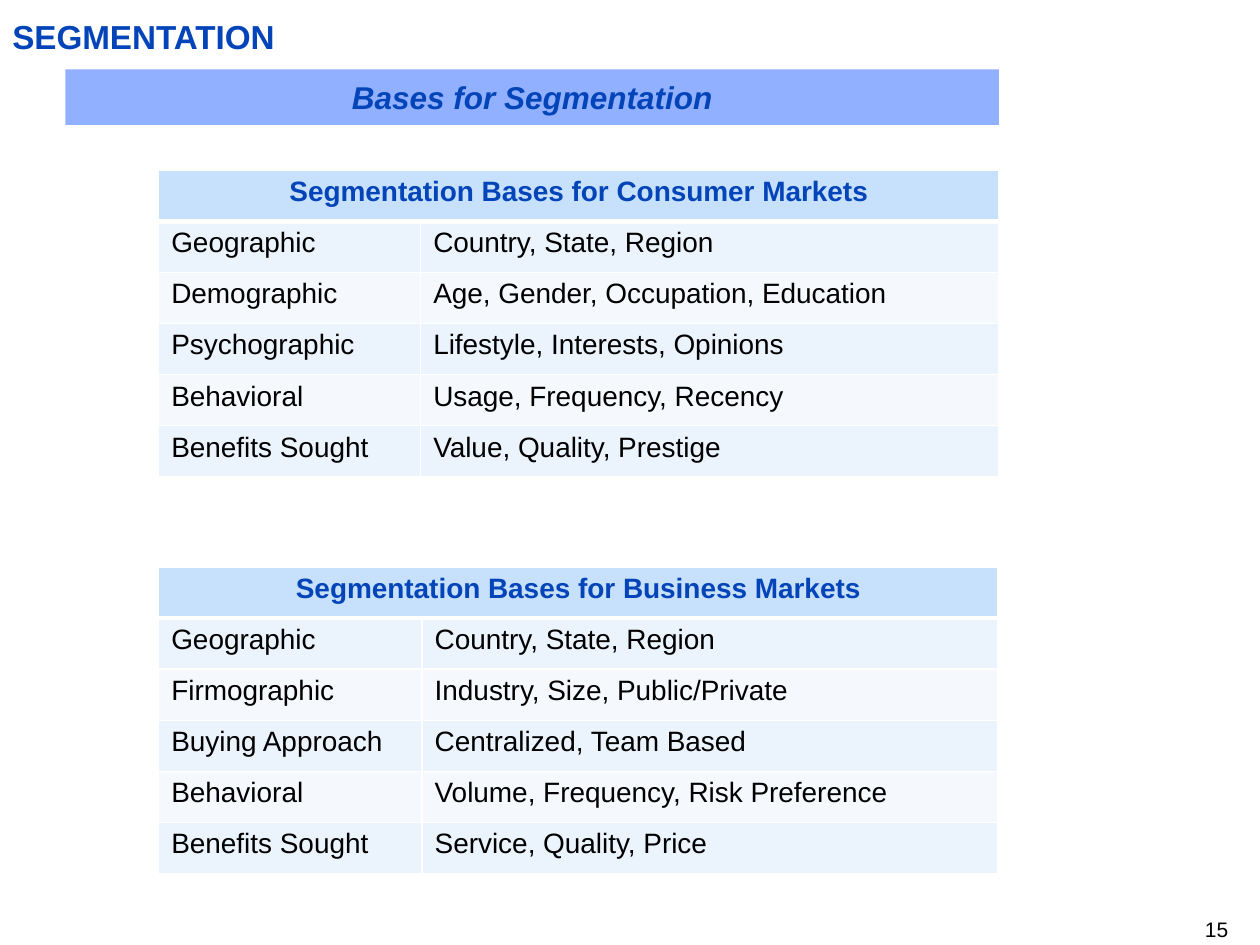
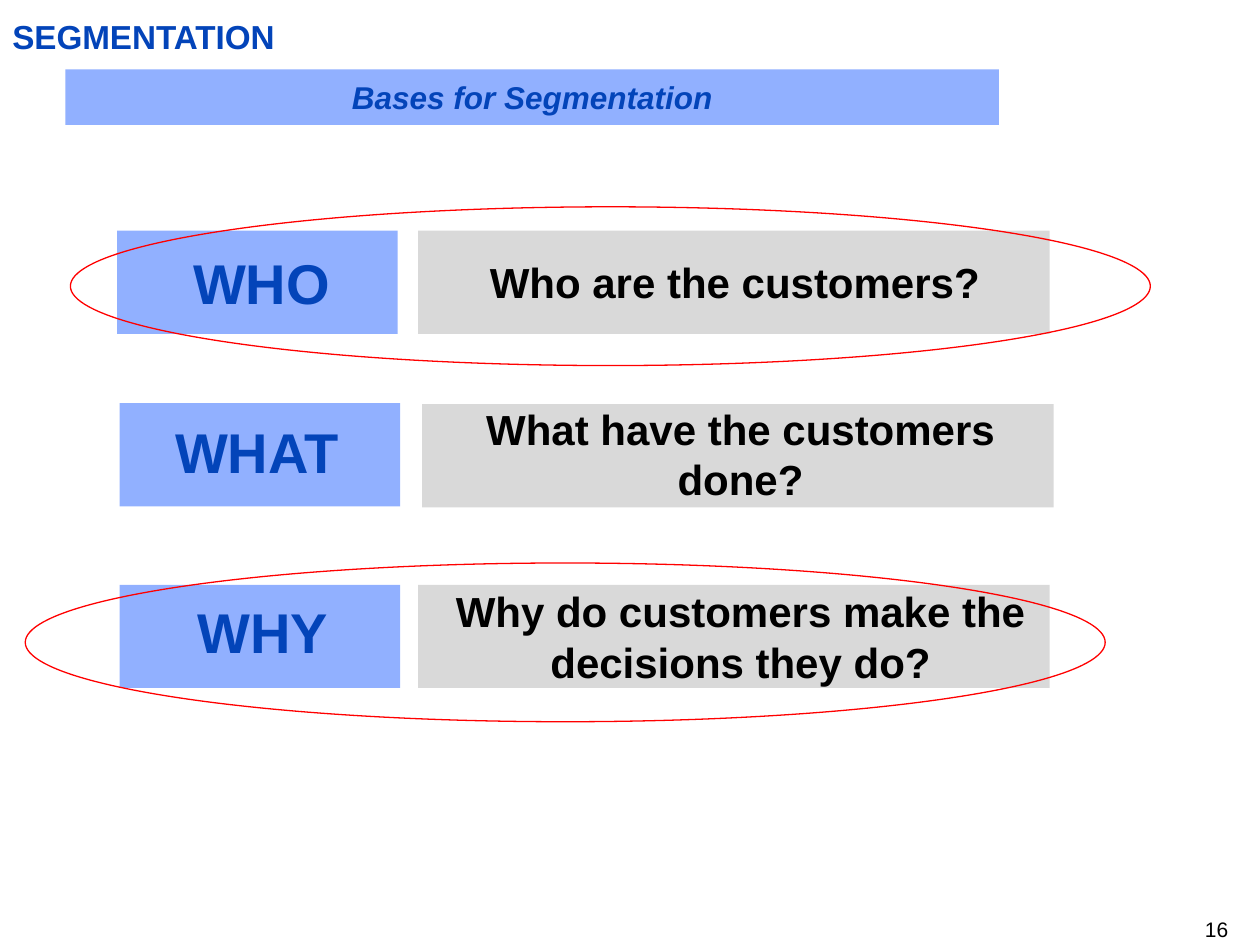
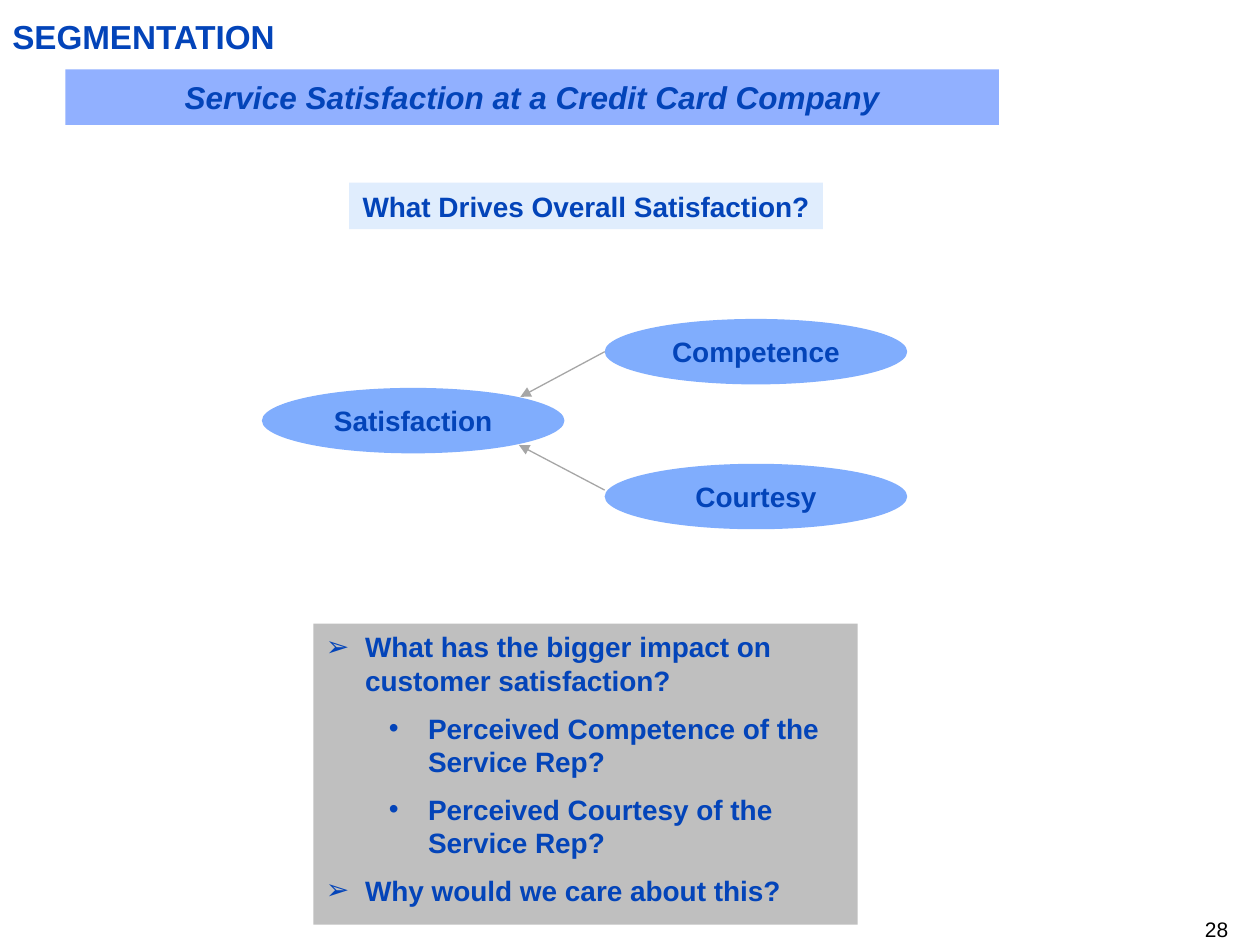
from lxml import etree
from pptx import Presentation
from pptx.dml.color import RGBColor
from pptx.enum.shapes import MSO_CONNECTOR, MSO_SHAPE as Preset
from pptx.enum.text import MSO_ANCHOR as Anchor, PP_ALIGN as Align
from pptx.oxml import parse_xml
from pptx.oxml.ns import nsdecls, qn
from pptx.util import Cm, Pt

FONT = "Arial"
BLUE = RGBColor(0x03, 0x44, 0xB9)
BLACK = RGBColor(0, 0, 0)
RED = RGBColor(0xFF, 0, 0)
BAND_BLUE = RGBColor(0x91, 0xB0, 0xFF)
OVAL_BLUE = RGBColor(0x80, 0xAD, 0xFD)
PALE_BLUE = RGBColor(0xE0, 0xED, 0xFD)
HEADER_BLUE = RGBColor(0xC7, 0xE0, 0xFB)
ROW_BLUES = (RGBColor(0xEB, 0xF3, 0xFD), RGBColor(0xF5, 0xF9, 0xFE))
LIGHT_GREY = RGBColor(0xD9, 0xD9, 0xD9)
PANEL_GREY = RGBColor(0xBF, 0xBF, 0xBF)
ARROW_GREY = RGBColor(0xA6, 0xA6, 0xA6)

INSETS = (0.25, 0.13)
BULLETS = (("➢", 0.79), ("•", 2.06))
HANGING = 0.79

CONSUMER_BASES = [
    ("Geographic", "Country, State, Region"),
    ("Demographic", "Age, Gender, Occupation, Education"),
    ("Psychographic", "Lifestyle, Interests, Opinions"),
    ("Behavioral", "Usage, Frequency, Recency"),
    ("Benefits Sought", "Value, Quality, Prestige"),
]
BUSINESS_BASES = [
    ("Geographic", "Country, State, Region"),
    ("Firmographic", "Industry, Size, Public/Private"),
    ("Buying Approach", "Centralized, Team Based"),
    ("Behavioral", "Volume, Frequency, Risk Preference"),
    ("Benefits Sought", "Service, Quality, Price"),
]
# Each row: label, its box, its text frame; question, its box, its text frame
QUESTIONS = [
    ("WHO", (2.36, 4.65), (3.51, 4.88, 3.53, 1.63),
     "Who are the customers?", (8.43, 4.65), (9.14, 5.05, 11.35, 1.27)),
    ("WHAT", (2.41, 8.13), (2.95, 8.28, 4.47, 1.63),
     "What have the customers done?", (8.51, 8.15), (8.53, 8, 12.8, 2.31)),
    ("WHY", (2.41, 11.79), (3.53, 11.91, 3.53, 1.63),
     "Why do customers make the decisions they do?",
     (8.43, 11.79), (8.53, 11.68, 12.8, 2.31)),
]
IMPACT_POINTS = [
    (0, "What has the bigger impact on customer satisfaction?"),
    (1, "Perceived Competence of the Service Rep?"),
    (1, "Perceived Courtesy of the Service Rep?"),
    (0, "Why would we care about this?"),
]


def write(paragraph, text, size=16, color=BLUE, bold=True, italic=False,
          align=Align.CENTER):
    paragraph.alignment = align
    run = paragraph.add_run()
    run.text = text
    font = run.font
    font.name, font.size = FONT, Pt(size)
    font.bold, font.italic = bold, italic
    font.color.rgb = color


def set_frame(frame, insets=INSETS, anchor=Anchor.MIDDLE, wrap=True):
    frame.margin_left = frame.margin_right = Cm(insets[0])
    frame.margin_top = frame.margin_bottom = Cm(insets[1])
    frame.vertical_anchor = anchor
    frame.word_wrap = wrap


def add_text(slide, box, text, insets=INSETS, **text_format):
    frame = slide.shapes.add_textbox(*map(Cm, box)).text_frame
    set_frame(frame, insets, Anchor.TOP)
    write(frame.paragraphs[0], text, **text_format)


def add_shape(slide, preset, box, fill=None, line=None, text=None, wrap=True,
              **text_format):
    shape = slide.shapes.add_shape(preset, *map(Cm, box))
    shape.shadow.inherit = False
    if fill is None:
        shape.fill.background()
    else:
        shape.fill.solid()
        shape.fill.fore_color.rgb = fill
    if line is None:
        shape.line.fill.background()
    else:
        shape.line.color.rgb = line
        shape.line.width = Pt(0.75)
    set_frame(shape.text_frame, wrap=wrap)
    if text:
        write(shape.text_frame.paragraphs[0], text, **text_format)
    return shape


def add_arrow(slide, tip, tail):
    """Draw a grey line with its arrowhead at the tip."""
    arrow = slide.shapes.add_connector(MSO_CONNECTOR.STRAIGHT,
                                       *map(Cm, (*tip, *tail)))
    arrow.line.color.rgb = ARROW_GREY
    arrow.line.width = Pt(0.75)
    etree.SubElement(arrow.line._get_or_add_ln(), qn("a:headEnd"),
                     type="triangle")
    etree.SubElement(arrow._element.spPr, qn("a:effectLst"))


def set_borders(cell, bottom):
    """Give a cell white borders of 1 pt, with its own bottom width."""
    for side, width in (("L", 1), ("R", 1), ("T", 1), ("B", bottom)):
        cell._tc.get_or_add_tcPr().append(parse_xml(
            f'<a:ln{side} {nsdecls("a")} w="{Pt(width)}"><a:solidFill>'
            f'<a:srgbClr val="FFFFFF"/></a:solidFill></a:ln{side}>'))


def fill_cell(cell, fill, text, bottom=1, **text_format):
    set_borders(cell, bottom)
    cell.fill.solid()
    cell.fill.fore_color.rgb = fill
    if text:
        write(cell.text_frame.paragraphs[0], text, **text_format)


def add_bases_table(slide, top, widths, heading, bases):
    row_height = 1.03
    rows = len(bases) + 1
    table = slide.shapes.add_table(
        rows, 2, Cm(3.2), Cm(top), Cm(sum(widths)),
        Cm(row_height * rows)).table
    table.first_row = table.horz_banding = False
    for column, width in zip(table.columns, widths):
        column.width = Cm(width)
    for row in table.rows:
        row.height = Cm(row_height)
    table.cell(0, 0).merge(table.cell(0, 1))
    for column, text in enumerate((heading, "")):
        fill_cell(table.cell(0, column), HEADER_BLUE, text, bottom=3)
    for index, pair in enumerate(bases):
        for column, text in enumerate(pair):
            fill_cell(table.cell(index + 1, column), ROW_BLUES[index % 2],
                      text, color=BLACK, bold=False, align=Align.LEFT)


def add_bullet(paragraph, level):
    character, indent = BULLETS[level]
    paragraph.level = level
    properties = paragraph._p.get_or_add_pPr()
    properties.set("marL", str(Cm(indent)))
    properties.set("indent", str(-Cm(HANGING)))
    etree.SubElement(properties, qn("a:buFont"), typeface=FONT)
    etree.SubElement(properties, qn("a:buChar"), char=character)


def add_bullet_panel(slide, box, points):
    frame = add_shape(slide, Preset.RECTANGLE, box, PANEL_GREY).text_frame
    frame.vertical_anchor = Anchor.TOP
    for index, (level, text) in enumerate(points):
        paragraph = frame.add_paragraph() if index else frame.paragraphs[0]
        add_bullet(paragraph, level)
        if index:
            paragraph.space_before = Pt(8)
        write(paragraph, text, align=Align.LEFT)


def new_slide(presentation, number, heading):
    """Add a slide with the shared title, heading band and page number."""
    slide = presentation.slides.add_slide(presentation.slide_layouts[6])
    add_text(slide, (19.48, 18.47, 5.28, 0.51), str(number), insets=(0, 0),
             size=12, color=BLACK, bold=False, align=Align.RIGHT)
    add_text(slide, (0.25, 0.33, 24.43, 0.81), "SEGMENTATION", insets=(0, 0),
             size=19, align=Align.LEFT)
    add_shape(slide, Preset.RECTANGLE, (1.32, 1.4, 18.82, 1.12), BAND_BLUE,
              text=heading, size=18, italic=True)
    return slide


def build_bases_slide(presentation):
    slide = new_slide(presentation, 15, "Bases for Segmentation")
    add_bases_table(slide, 3.43, (5.28, 11.66),
                    "Segmentation Bases for Consumer Markets", CONSUMER_BASES)
    add_bases_table(slide, 11.43, (5.31, 11.61),
                    "Segmentation Bases for Business Markets", BUSINESS_BASES)


def build_questions_slide(presentation):
    slide = new_slide(presentation, 16, "Bases for Segmentation")
    for label, label_at, label_box, question, question_at, question_box in QUESTIONS:
        add_shape(slide, Preset.RECTANGLE, (*label_at, 5.66, 2.08), BAND_BLUE)
        add_shape(slide, Preset.RECTANGLE, (*question_at, 12.73, 2.08),
                  LIGHT_GREY)
        add_text(slide, label_box, label, size=32)
        add_text(slide, question_box, question, size=24, color=BLACK)
    for left, top in ((1.42, 4.17), (0.51, 11.35)):
        add_shape(slide, Preset.OVAL, (left, top, 21.77, 3.2), line=RED)


def build_satisfaction_slide(presentation):
    slide = new_slide(presentation, 28,
                      "Service Satisfaction at a Credit Card Company")
    for text, left, top in (("Satisfaction", 5.28, 7.82),
                            ("Courtesy", 12.19, 9.35),
                            ("Competence", 12.19, 6.43)):
        add_shape(slide, Preset.OVAL, (left, top, 6.1, 1.32), OVAL_BLUE,
                  text=text)
    add_arrow(slide, (10.49, 8), (12.19, 7.09))
    add_arrow(slide, (10.46, 8.97), (12.19, 9.88))
    add_bullet_panel(slide, (6.32, 12.57, 10.97, 6.07), IMPACT_POINTS)
    add_shape(slide, Preset.RECTANGLE, (7.04, 3.68, 9.55, 0.94), PALE_BLUE,
              text="What Drives Overall Satisfaction?", wrap=False)


def main():
    presentation = Presentation()
    presentation.slide_width, presentation.slide_height = Cm(25.4), Cm(19.05)
    build_bases_slide(presentation)
    build_questions_slide(presentation)
    build_satisfaction_slide(presentation)
    presentation.save("out.pptx")


if __name__ == "__main__":
    main()
